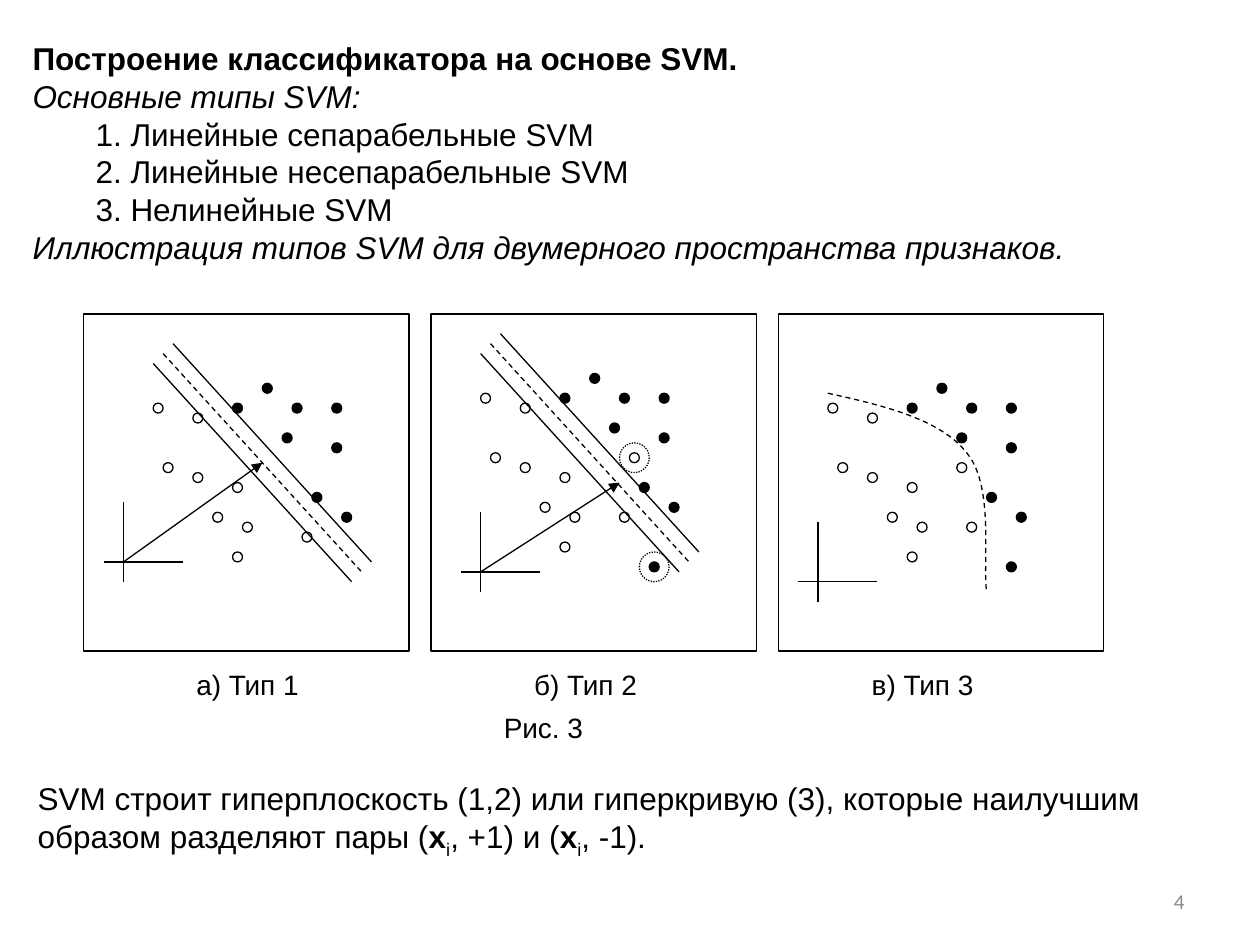
from lxml.etree import SubElement
from pptx import Presentation
from pptx.dml.color import RGBColor
from pptx.enum.dml import MSO_LINE
from pptx.enum.shapes import MSO_CONNECTOR, MSO_SHAPE
from pptx.enum.text import MSO_ANCHOR, PP_ALIGN
from pptx.oxml.ns import qn
from pptx.util import Inches, Pt

COLORS = {"ink": "000000", "gray": "898989"}
CELL = 2 / 25.4              # grid step of 2 mm, in inches
LEFT, BASE = 0.98, 4.46      # grid zero: axis origin of the first plot

# Dots shared by all plots, as (column, row)
FULL = [(14, -18), (11, -16), (16, -13), (17, -16),
        (19, -7), (22, -5), (21, -12), (21, -16)]
OPEN = [(3, -16), (4, -10), (7, -9), (7, -15),
        (9, -5), (12, -4), (11, -8), (11, -1)]
# What differs: shift of dots, axis origin, arrow tip, own dots, halos
PLOTS = [
    dict(shift=(0, 0), zero=(0, 0), tip=(14, -10),
         full=[], open=[(18, -3)], halo=[]),
    dict(shift=(33, -1), zero=(36, 1), tip=(17, -7),
         full=[(20, 1)], open=[(17, -4), (18, -10)],
         halo=[(18, -10), (20, 1)]),
    dict(shift=(68, 0), zero=(70, 2), tip=None,
         full=[(21, 0)], open=[(17, -4), (16, -10)], halo=[]),
]
# Two cubic pieces of the curve in the third plot
CURVE = [[(3, -17), (8.7, -15.75), (14.4, -14.35), (17, -11)],
         [(17, -11), (19.8, -7.75), (18.6, 0.13), (19, 3)]]


def write(box, parts, size=18, color="ink", font="Arial", align=PP_ALIGN.LEFT,
          anchor=MSO_ANCHOR.TOP, wrap=True):
    """Fill a box with (text, style) parts; style letters: b, i, s (subscript)."""
    frame = box.text_frame
    frame.word_wrap, frame.vertical_anchor = wrap, anchor
    para = frame.paragraphs[0]
    para.alignment = align
    for text, style in parts:
        for n, line in enumerate(text.split("\n")):
            if n:
                para.add_line_break()
            if not line:
                continue
            run = para.add_run()
            run.text = line
            run.font.name, run.font.size = font, Pt(size)
            run.font.bold, run.font.italic = "b" in style, "i" in style
            run.font.color.rgb = RGBColor.from_string(COLORS[color])
            if "s" in style:
                run.font._element.set("baseline", "-25000")
    # Line breaks take the size of the text around them
    for br in para._p.findall(qn("a:br")):
        SubElement(br, qn("a:rPr")).set("sz", str(size * 100))


def move(point, by):
    return point[0] + by[0], point[1] + by[1]


def bend(piece, steps=16):
    """Points along a cubic curve."""
    for k in range(steps + 1):
        t = k / steps
        mix = ((1 - t) ** 3, 3 * t * (1 - t) ** 2, 3 * t * t * (1 - t), t ** 3)
        yield tuple(sum(m * p[a] for m, p in zip(mix, piece)) for a in (0, 1))


class Board:
    def __init__(self, slide, width=0.75):
        self.slide, self.width = slide, Pt(width)

    def spot(self, point):
        return Inches(LEFT + point[0] * CELL), Inches(BASE + point[1] * CELL)

    def pen(self, item, dash=None):
        item.line.color.rgb = RGBColor.from_string(COLORS["ink"])
        item.line.width = self.width
        if dash:
            item.line.dash_style = dash

    def shape(self, kind, point, wide, high, fill=False, dash=None):
        item = self.slide.shapes.add_shape(
            kind, *self.spot(point), Inches(wide * CELL), Inches(high * CELL))
        item.shadow.inherit = False
        if fill:
            item.fill.solid()
            item.fill.fore_color.rgb = RGBColor.from_string(COLORS["ink"])
        else:
            item.fill.background()
        self.pen(item, dash)

    def dot(self, point, size=1, **style):
        self.shape(MSO_SHAPE.OVAL, point, size, size, **style)

    def line(self, start, end, dash=None, arrow=False):
        item = self.slide.shapes.add_connector(
            MSO_CONNECTOR.STRAIGHT, *self.spot(start), *self.spot(end))
        self.pen(item, dash)
        if arrow:
            SubElement(item.line._get_or_add_ln(), qn("a:tailEnd")).set("type", "triangle")
        SubElement(item._element.spPr, qn("a:effectLst"))

    def curve(self, points, dash):
        first, *rest = [self.spot(p) for p in points]
        form = self.slide.shapes.build_freeform(*first)
        form.add_line_segments(rest, close=False)
        item = form.convert_to_shape()
        item.shadow.inherit = False
        item.fill.background()
        self.pen(item, dash)

    def text(self, left, top, wide, high, parts, **style):
        box = self.slide.shapes.add_textbox(*map(Inches, (left, top, wide, high)))
        write(box, parts, **style)

    def plot(self, shift, zero, tip, full, open, halo):
        # Axes
        self.line(move(zero, (0, -6)), move(zero, (0, 2)))
        self.line(move(zero, (-2, 0)), move(zero, (6, 0)))
        # Dots and halos
        for dots, fill in ((FULL + full, True), (OPEN + open, False)):
            for dot in dots:
                self.dot(move(dot, shift), fill=fill)
        for dot in halo:
            self.dot(move(dot, move(shift, (-1, -1))), 3, dash=MSO_LINE.ROUND_DOT)
        # Border: a margin with its arrow, or a curve
        if tip:
            for off, dash in ((0, MSO_LINE.DASH), (1, None), (-1, None)):
                by = move(shift, (off, -off))
                self.line(move((4, -21), by), move((24, 1), by), dash)
            self.line(zero, move(tip, shift), arrow=True)
        else:
            self.curve([move(p, shift) for piece in CURVE for p in bend(piece)],
                       MSO_LINE.DASH)


def main():
    deck = Presentation()
    deck.slide_width, deck.slide_height = Inches(10), Inches(7.5)
    board = Board(deck.slides.add_slide(deck.slide_layouts[6]))

    # Heading and list
    board.text(0.16, 0.16, 9.69, 2.1, [
        ("Построение классификатора на основе SVM.\n", "b"),
        ("Основные типы SVM:\n", "i"),
        ("\t1. Линейные сепарабельные SVM\n\t2. Линейные несепарабельные SVM\n"
         "\t3. Нелинейные SVM\n", ""),
        ("Иллюстрация типов SVM для двумерного пространства признаков.", "i"),
    ], anchor=MSO_ANCHOR.MIDDLE)

    # Frames, plots and captions
    names = ("а) Тип 1", "б) Тип 2", "в) Тип 3")
    for n, (plot, name) in enumerate(zip(PLOTS, names)):
        board.shape(MSO_SHAPE.RECTANGLE, (35 * n - 4, -25), 32.8, 34)
        board.plot(**plot)
        board.text(1.46 + 2.68 * n, 5.25, 1.02, 0.37, [(name, "")], size=16, wrap=False)
    board.text(3.9, 5.59, 0.83, 0.37, [("Рис. 3", "")], size=16, wrap=False)

    # Summary and page number
    board.text(0.2, 6.03, 9.69, 0.95, [
        ("SVM строит гиперплоскость (1,2) или гиперкривую (3), которые "
         "наилучшим образом разделяют пары (", ""),
        ("x", "b"), ("i", "s"), (", +1) и (", ""),
        ("x", "b"), ("i", "s"), (", -1).", ""),
    ], anchor=MSO_ANCHOR.MIDDLE)
    board.text(7.17, 6.95, 2.33, 0.4, [("4", "")], size=12, color="gray",
               font="Calibri", align=PP_ALIGN.RIGHT, anchor=MSO_ANCHOR.MIDDLE)

    deck.save("out.pptx")


if __name__ == "__main__":
    main()
